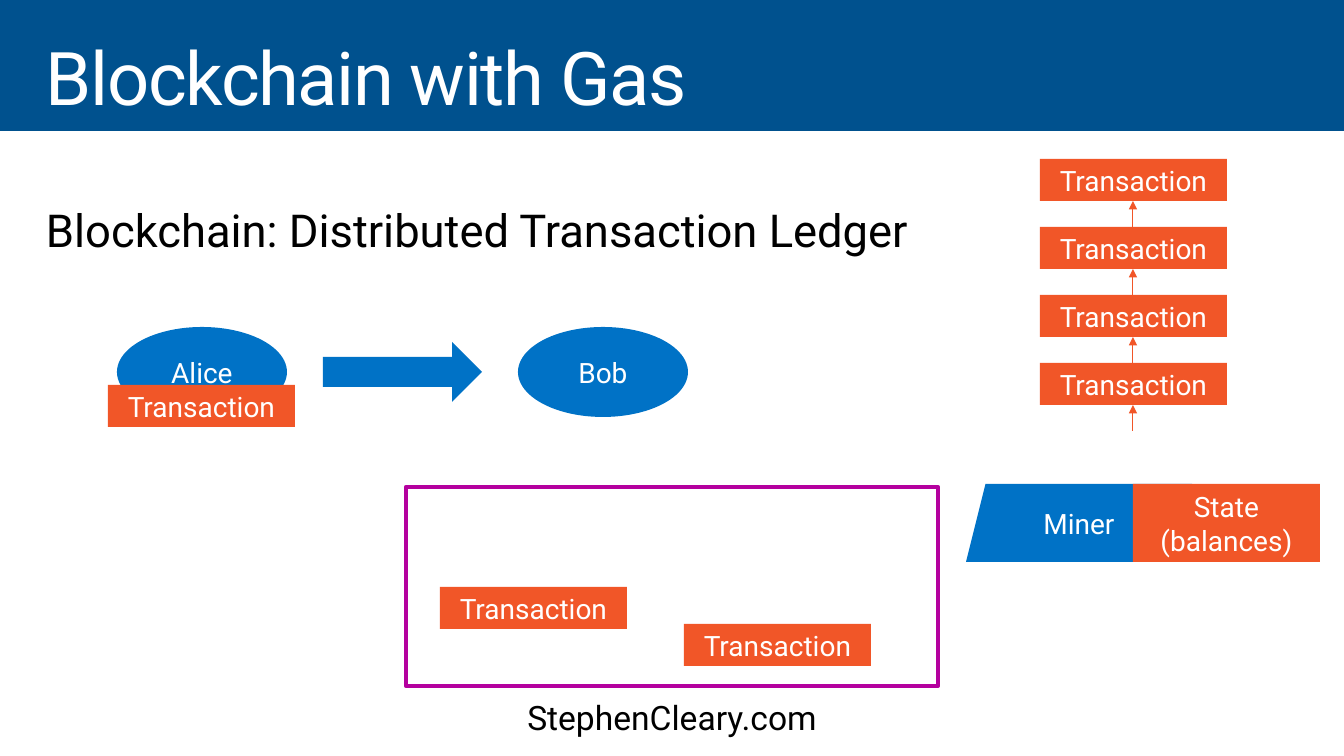
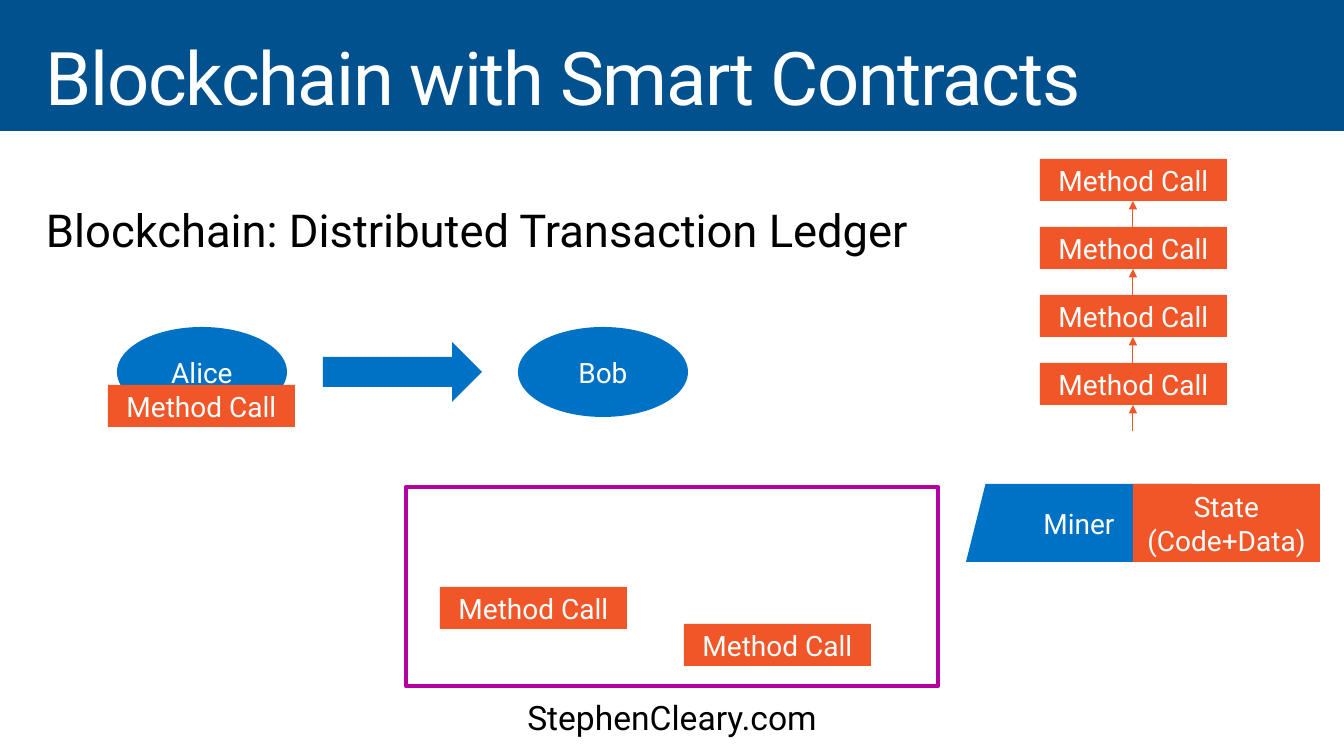
from lxml import etree
from pptx import Presentation
from pptx.dml.color import RGBColor
from pptx.enum.shapes import MSO_CONNECTOR, MSO_SHAPE
from pptx.enum.text import MSO_ANCHOR, PP_ALIGN
from pptx.oxml.ns import qn
from pptx.util import Pt

PX = 914400 / 100.8
WIDTH, HEIGHT = 1344, 756
FONT = "Roboto"
NAVY, BLUE, ORANGE, PURPLE = "00518E", "0072C6", "F15628", "B4009E"
WHITE, BLACK = "FFFFFF", "000000"
RECT, OVAL = MSO_SHAPE.RECTANGLE, MSO_SHAPE.OVAL
ARROW, PARALLELOGRAM = MSO_SHAPE.RIGHT_ARROW, MSO_SHAPE.PARALLELOGRAM
STRAIGHT = MSO_CONNECTOR.STRAIGHT
LEFT, CENTER = PP_ALIGN.LEFT, PP_ALIGN.CENTER
TOP, MIDDLE = MSO_ANCHOR.TOP, MSO_ANCHOR.MIDDLE

BAND_H = 131
ENTRY_W, ENTRY_H = 187, 42
CHAIN_X, CHAIN_Y, CHAIN_PITCH, CHAIN_LENGTH = 1040, 159, 68, 4
CHAIN_MID = 1133
PENDING = [(108, 385), (440, 587), (684, 624)]

# title, ledger entry, miner state
SLIDES = [
    ("Blockchain with Gas", "Transaction", "State\n(balances)"),
    ("Blockchain with Smart Contracts", "Method Call", "State\n(Code+Data)"),
]


def px(*lengths):
    return [round(length * PX) for length in lengths]


def put_text(slide, box, text, shape=None, fill=None, line=None, size=20,
             color=WHITE, align=CENTER, anchor=MIDDLE, inset=(0, 5),
             line_spacing=None, tracking=None):
    """Add a text box, or a preset shape with optional text; line is (colour, points)."""
    if shape is None:
        item = slide.shapes.add_textbox(*px(*box))
    else:
        item = slide.shapes.add_shape(shape, *px(*box))
        item.shadow.inherit = False
        if fill:
            item.fill.solid()
            item.fill.fore_color.rgb = RGBColor.from_string(fill)
        else:
            item.fill.background()
        if line:
            item.line.color.rgb = RGBColor.from_string(line[0])
            item.line.width = Pt(line[1])
        else:
            item.line.fill.background()
    if not text:
        return
    frame = item.text_frame
    frame.word_wrap = True
    frame.vertical_anchor = anchor
    frame.margin_left, frame.margin_top = px(*inset)
    frame.margin_right, frame.margin_bottom = px(*inset)
    paragraph = frame.paragraphs[0]
    paragraph.text = text.replace("\n", "\v")
    paragraph.alignment = align
    paragraph.line_spacing = line_spacing
    for run in paragraph.runs:
        run.font.name = FONT
        run.font.size = Pt(size)
        run.font.color.rgb = RGBColor.from_string(color)
        if tracking:
            run.font._element.set("spc", str(tracking))


prs = Presentation()
prs.slide_width, prs.slide_height = px(WIDTH, HEIGHT)
backdrop = prs.slide_master.background.fill
backdrop.solid()
backdrop.fore_color.rgb = RGBColor.from_string(NAVY)

for title, entry, state in SLIDES:
    slide = prs.slides.add_slide(prs.slide_layouts[6])

    put_text(slide, (0, BAND_H, WIDTH, HEIGHT - BAND_H), "", shape=RECT, fill=WHITE)
    put_text(slide, (0, 686, WIDTH, 70), "StephenCleary.com", size=24, color=BLACK,
             anchor=TOP, inset=(20, 16), line_spacing=0.9)
    put_text(slide, (29, 32, 1285, 99), title, size=52.9, align=LEFT, anchor=TOP,
             inset=(17, 10), line_spacing=0.9, tracking=-100)
    put_text(slide, (29, 198, 1285, 64), "Blockchain: Distributed Transaction Ledger",
             size=32.4, color=BLACK, align=LEFT, anchor=TOP, inset=(17, 10),
             line_spacing=0.9)

    # Miner and its state
    put_text(slide, (966, 484, 226, 78), "Miner", shape=PARALLELOGRAM, fill=BLUE)
    put_text(slide, (CHAIN_MID, 484, ENTRY_W, 78), state, shape=RECT, fill=ORANGE)

    # Transfer between two people
    for person, left in (("Alice", 117), ("Bob", 518)):
        put_text(slide, (left, 327, 170, 90), person, shape=OVAL, fill=BLUE)
    put_text(slide, (323, 342, 159, 60), "", shape=ARROW, fill=BLUE)

    # Ledger chain, each entry pointed at from below
    for index in range(CHAIN_LENGTH):
        top = CHAIN_Y + index * CHAIN_PITCH
        put_text(slide, (CHAIN_X, top, ENTRY_W, ENTRY_H), entry, shape=RECT, fill=ORANGE)
        link = slide.shapes.add_connector(
            STRAIGHT, *px(CHAIN_MID, top + CHAIN_PITCH, CHAIN_MID, top + ENTRY_H))
        link.line.color.rgb = RGBColor.from_string(ORANGE)
        link.line.width = Pt(0.75)
        etree.SubElement(link.line._get_or_add_ln(), qn("a:tailEnd"), type="triangle")
        etree.SubElement(link._element.spPr, qn("a:effectLst"))

    # Pool of entries waiting to be mined
    put_text(slide, (406, 487, 532, 199), "", shape=RECT, line=(PURPLE, 3))
    for left, top in PENDING:
        put_text(slide, (left, top, ENTRY_W, ENTRY_H), entry, shape=RECT, fill=ORANGE)

prs.save("out.pptx")
